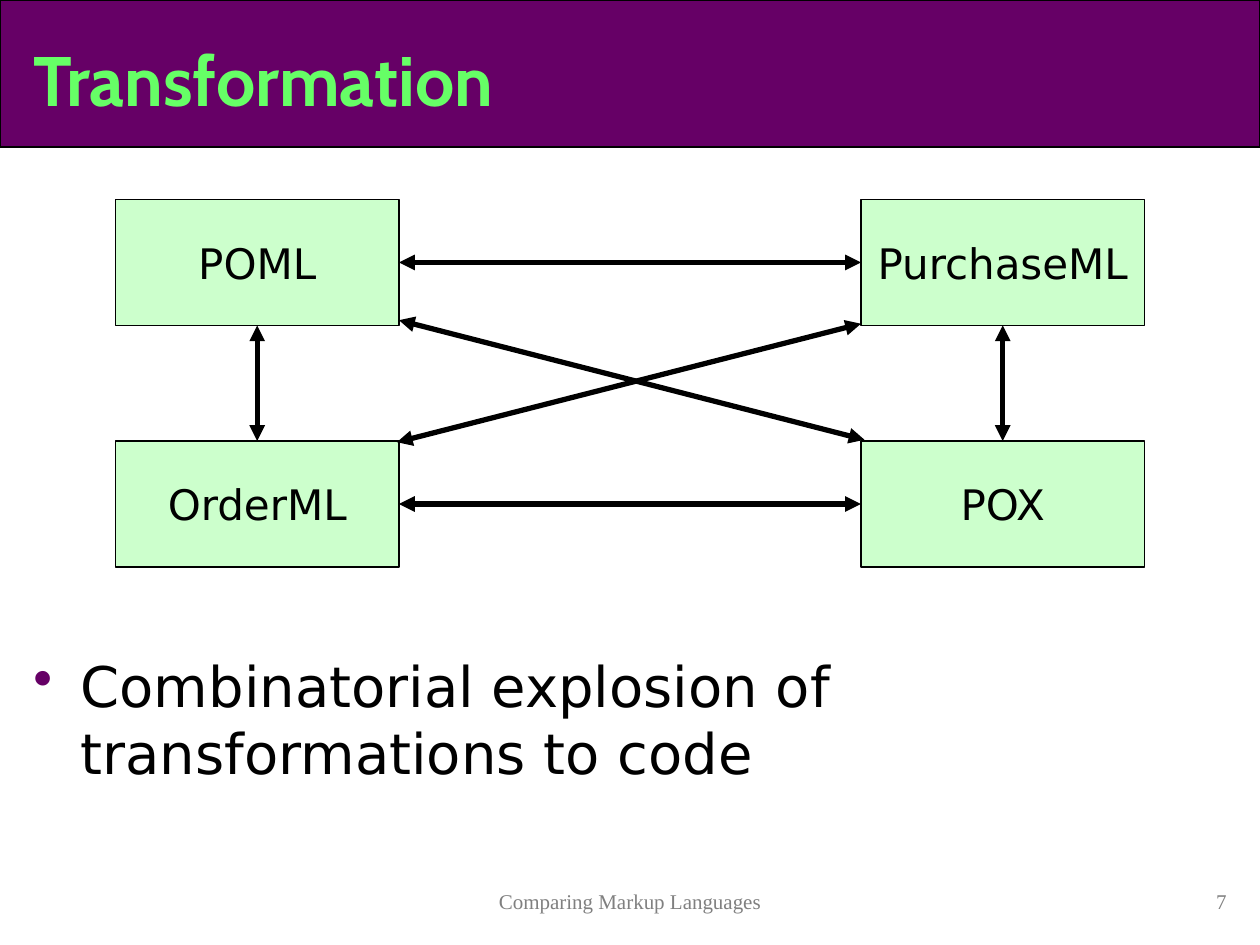
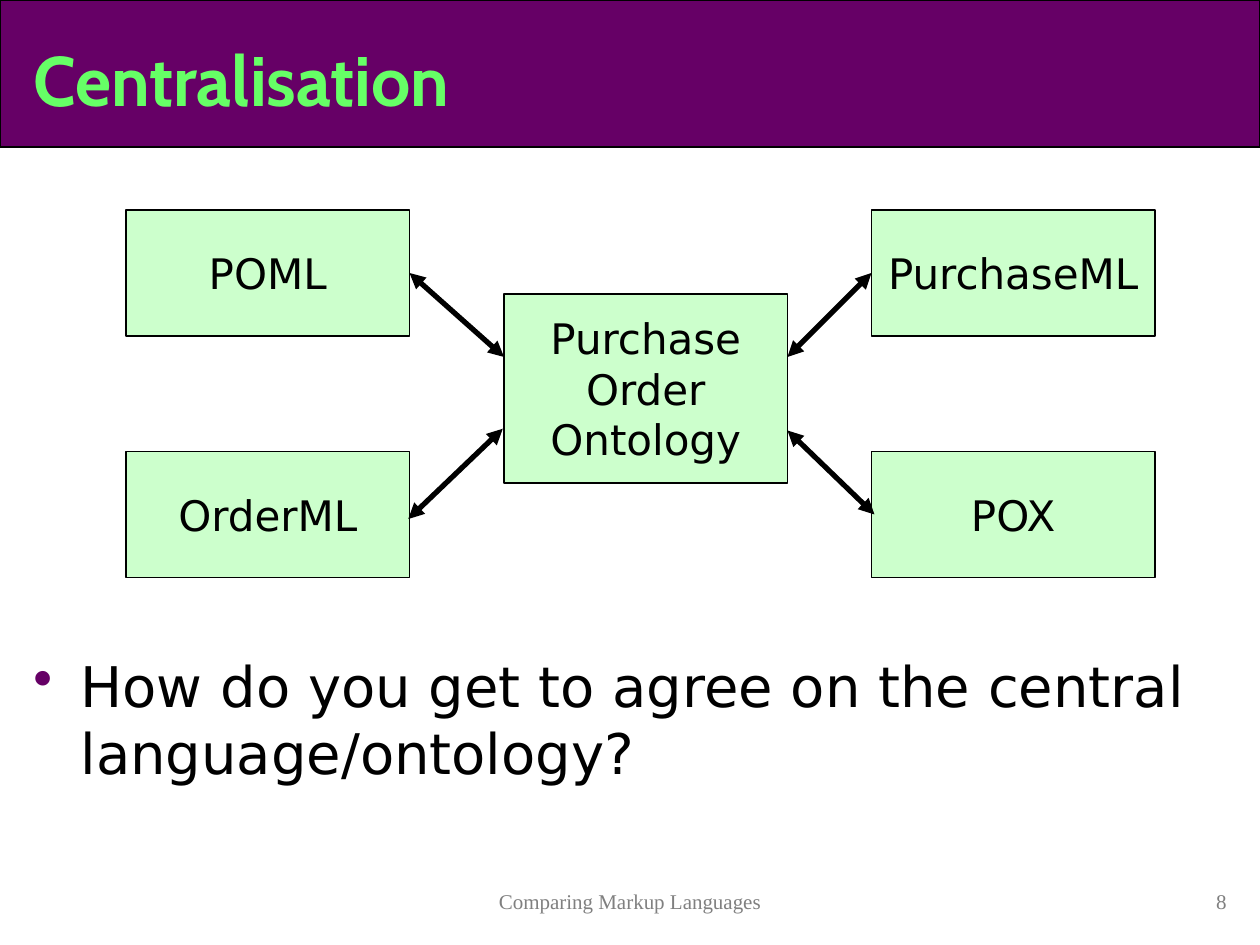
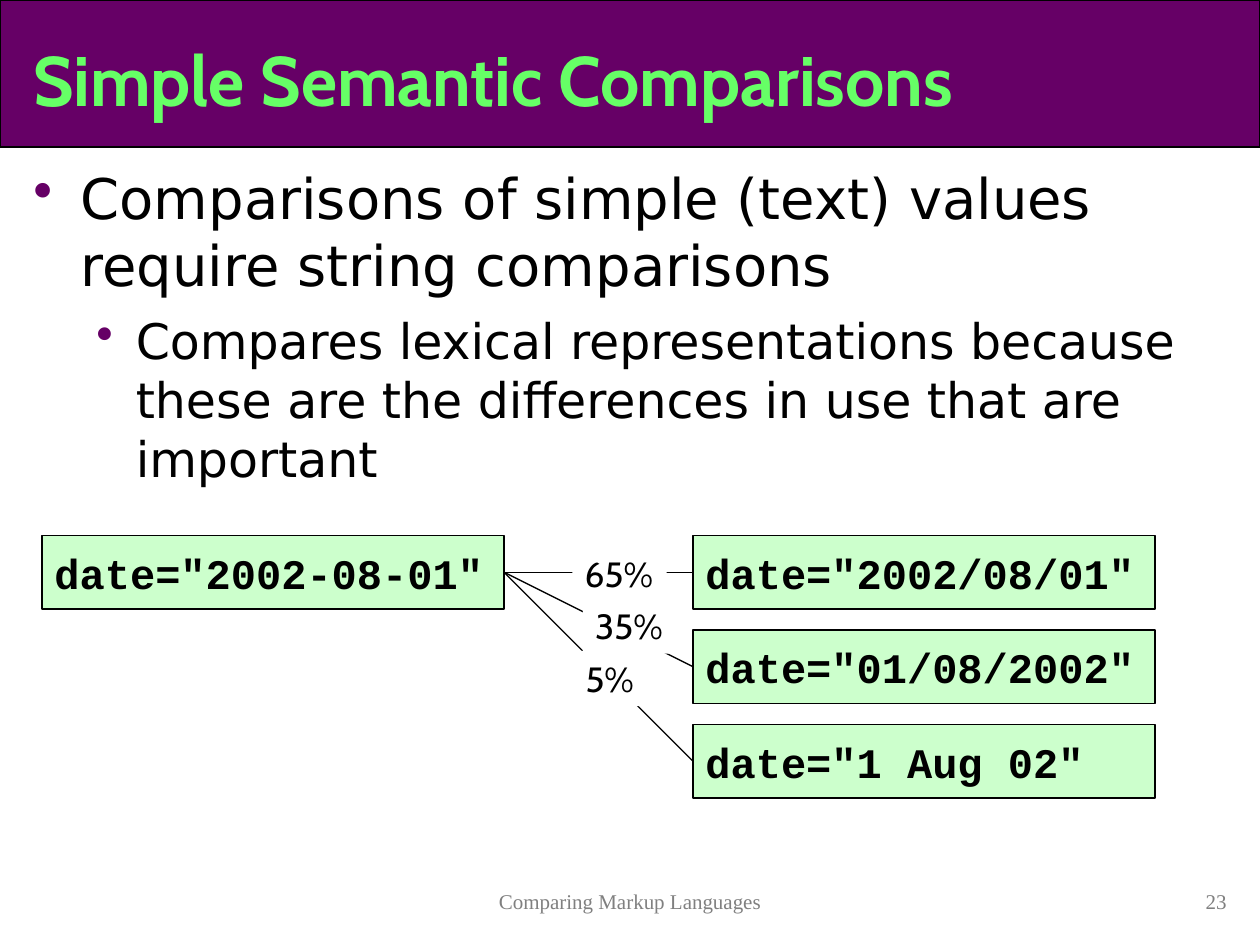
"""Build three slides about comparing markup languages."""
from dataclasses import dataclass
from typing import NamedTuple, Optional

from lxml import etree
from pptx import Presentation
from pptx import util as u
from pptx.dml.color import RGBColor
from pptx.enum import shapes, text
from pptx.oxml import ns
from pptx.shapes.autoshape import Shape
from pptx.slide import Slide

PURPLE = RGBColor(0x66, 0x00, 0x66)
LIME = RGBColor(0x66, 0xFF, 0x66)
MINT = RGBColor(0xCC, 0xFF, 0xCC)
BLACK = RGBColor(0x00, 0x00, 0x00)
WHITE = RGBColor(0xFF, 0xFF, 0xFF)
GREY = RGBColor(0x80, 0x80, 0x80)

LEFT, CENTER, RIGHT = text.PP_ALIGN.LEFT, text.PP_ALIGN.CENTER, text.PP_ALIGN.RIGHT
TOP, MIDDLE = text.MSO_ANCHOR.TOP, text.MSO_ANCHOR.MIDDLE
SANS = "DejaVu Sans"

TITLE = {"name": "Cabin", "size": u.Pt(40), "bold": True, "color": LIME}
BODY = {"name": SANS, "size": u.Pt(32), "color": BLACK}
SUB_BODY = BODY | {"size": u.Pt(28)}
LANGUAGE = BODY | {"size": u.Pt(24)}
CODE = {"name": "Courier New", "size": u.Pt(24), "bold": True, "color": BLACK}
SCORE = {"name": "Cabin", "size": u.Pt(20), "color": BLACK}
FOOTER = {"name": "Times New Roman", "size": u.Pt(12), "color": GREY}

LANGUAGES = (("POML", "PurchaseML"), ("OrderML", "POX"))
BOX_WIDTH, BOX_HEIGHT = 162, 72
COLUMN_STEP, ROW_STEP = 426, 138


class Area(NamedTuple):
    """A rectangle in points."""
    left: float
    top: float
    width: float
    height: float


class Line(NamedTuple):
    """The two ends of a line in points."""
    x1: float
    y1: float
    x2: float
    y2: float


@dataclass(frozen=True)
class Style:
    """The look of a text-bearing rectangle."""
    font: dict
    fill: Optional[RGBColor] = None
    outline: Optional[RGBColor] = None
    align: text.PP_ALIGN = LEFT
    anchor: text.MSO_ANCHOR = TOP
    wrap: bool = True


@dataclass(frozen=True)
class Bullet:
    """A bulleted paragraph."""
    words: str
    font: dict
    indent: float
    hang: float
    before: float = 0


TITLE_STYLE = Style(TITLE, anchor=MIDDLE)
BAND_STYLE = Style(BODY, PURPLE, BLACK)
LANGUAGE_STYLE = Style(LANGUAGE, MINT, BLACK, CENTER, MIDDLE)
CODE_STYLE = Style(CODE, MINT, BLACK, LEFT, MIDDLE, False)
SCORE_STYLE = Style(SCORE, WHITE, wrap=False)


def add_span(para, words: str, font: dict) -> None:
    """Add a run of words in the given font."""
    span = para.add_run()
    span.text = words
    for name, value in font.items():
        if name == "color":
            span.font.color.rgb = value
        else:
            setattr(span.font, name, value)


def add_box(page: Slide, area: Area, words: str, style: Style) -> Shape:
    """Draw a rectangle, or a plain text box when there is no fill."""
    place = [u.Pt(value) for value in area]
    if style.fill is None:
        box = page.shapes.add_textbox(*place)
    else:
        box = page.shapes.add_shape(shapes.MSO_SHAPE.RECTANGLE, *place)
        box.shadow.inherit = False
        box.fill.solid()
        box.fill.fore_color.rgb = style.fill
        if style.outline is None:
            box.line.fill.background()
        else:
            box.line.color.rgb = style.outline
            box.line.width = u.Pt(0.75)
    frame = box.text_frame
    frame.word_wrap = style.wrap
    frame.vertical_anchor = style.anchor
    if words:
        para = frame.paragraphs[0]
        para.alignment = style.align
        add_span(para, words, style.font)
    return box


def add_line(page: Slide, line: Line, width: float, arrows: bool) -> None:
    """Draw a straight black line, with arrowheads at both ends if wanted."""
    link = page.shapes.add_connector(
        shapes.MSO_CONNECTOR.STRAIGHT, *[u.Pt(value) for value in line])
    link.line.color.rgb = BLACK
    link.line.width = u.Pt(width)
    if arrows:
        outline = link.line._get_or_add_ln()
        for end in ("a:headEnd", "a:tailEnd"):
            etree.SubElement(outline, ns.qn(end), type="triangle")
    etree.SubElement(link._element.spPr, ns.qn("a:effectLst"))


def add_bullets(page: Slide, top: float, bullets: list[Bullet]) -> None:
    """Write the bulleted body text from the given top down."""
    box = add_box(page, Area(12, top, 696, 498 - top), "", Style(BODY))
    frame = box.text_frame
    for index, bullet in enumerate(bullets):
        para = frame.add_paragraph() if index else frame.paragraphs[0]
        props = para._p.get_or_add_pPr()
        props.set("marL", str(u.Pt(bullet.indent)))
        props.set("indent", str(-u.Pt(bullet.hang)))
        color = etree.SubElement(props, ns.qn("a:buClr"))
        etree.SubElement(color, ns.qn("a:srgbClr"), val=str(PURPLE))
        etree.SubElement(props, ns.qn("a:buChar"), char="•")
        para.space_before = u.Pt(bullet.before)
        add_span(para, bullet.words, bullet.font)


def add_page(deck, title: str, number: int) -> Slide:
    """Add a slide with its band, title and footers."""
    page = deck.slides.add_slide(deck.slide_layouts[6])
    add_box(page, Area(0, 0, 720, 84), "", BAND_STYLE)
    add_box(page, Area(12, 12, 690, 66), title, TITLE_STYLE)
    add_box(page, Area(174, 504, 372, 24), "Comparing Markup Languages",
            Style(FOOTER, align=CENTER))
    add_box(page, Area(558, 504, 150, 24), str(number), Style(FOOTER, align=RIGHT))
    return page


def add_languages(page: Slide, left: float, top: float) -> None:
    """Draw the two-by-two grid of language boxes."""
    for row, names in enumerate(LANGUAGES):
        for column, name in enumerate(names):
            area = Area(left + column * COLUMN_STEP, top + row * ROW_STEP,
                        BOX_WIDTH, BOX_HEIGHT)
            add_box(page, area, name, LANGUAGE_STYLE)


def build_transformation(deck) -> None:
    """Show every language linked to every other."""
    page = add_page(deck, "Transformation", 7)
    add_bullets(page, 368.5, [Bullet(
        "Combinatorial explosion of transformations to code", BODY, 27, 27)])
    left, top = 66, 114
    add_languages(page, left, top)
    links = [Line(494, 251.3, 228, 183), Line(492, 185, 226.8, 252.7)]
    for step in range(2):
        y = top + BOX_HEIGHT / 2 + step * ROW_STEP
        x = left + BOX_WIDTH / 2 + step * COLUMN_STEP
        links.append(Line(left + BOX_WIDTH, y, left + COLUMN_STEP, y))
        links.append(Line(x, top + BOX_HEIGHT, x, top + ROW_STEP))
    for link in links:
        add_line(page, link, 3, True)


def build_centralisation(deck) -> None:
    """Show every language linked to one ontology."""
    page = add_page(deck, "Centralisation", 8)
    add_bullets(page, 368.5, [Bullet(
        "How do you get to agree on the central language/ontology?", BODY, 27, 27)])
    add_box(page, Area(288, 168, BOX_WIDTH, 108), "Purchase Order Ontology",
            LANGUAGE_STYLE)
    add_languages(page, 72, 120)
    for link in (Line(233.3, 296.6, 287.3, 245), Line(234, 156, 288, 204),
                 Line(450, 246, 499.7, 294), Line(498, 156, 450, 204)):
        add_line(page, link, 3, True)


def build_comparisons(deck) -> None:
    """Show one date scored against three other spellings."""
    page = add_page(deck, "Simple Semantic Comparisons", 23)
    add_bullets(page, 90, [
        Bullet("Comparisons of simple (text) values require string comparisons",
               BODY, 27, 27),
        Bullet("Compares lexical representations because these are the "
               "differences in use that are important", SUB_BODY, 58.5, 22.5, 7)])
    top, step, width, height = 306, 54, 264, 42
    middle = top + height / 2
    add_box(page, Area(24, top, width, height), 'date="2002-08-01"', CODE_STYLE)
    dates = ('date="2002/08/01"', 'date="01/08/2002"', 'date="1 Aug 02"')
    for row, date in enumerate(dates):
        add_box(page, Area(396, top + row * step, width, height), date, CODE_STYLE)
        add_line(page, Line(288, middle, 396, middle + row * step), 0.75, False)
    scores = (("65%", 327, 54), ("35%", 333, 54), ("5%", 327.5, 42.5))
    for row, (score, left, score_width) in enumerate(scores):
        add_box(page, Area(left, 312 + row * 30, score_width, 31.5), score, SCORE_STYLE)


def main() -> None:
    """Build and save the deck."""
    deck = Presentation()
    deck.slide_width, deck.slide_height = u.Pt(720), u.Pt(540)
    build_transformation(deck)
    build_centralisation(deck)
    build_comparisons(deck)
    deck.save("out.pptx")


if __name__ == "__main__":
    main()
